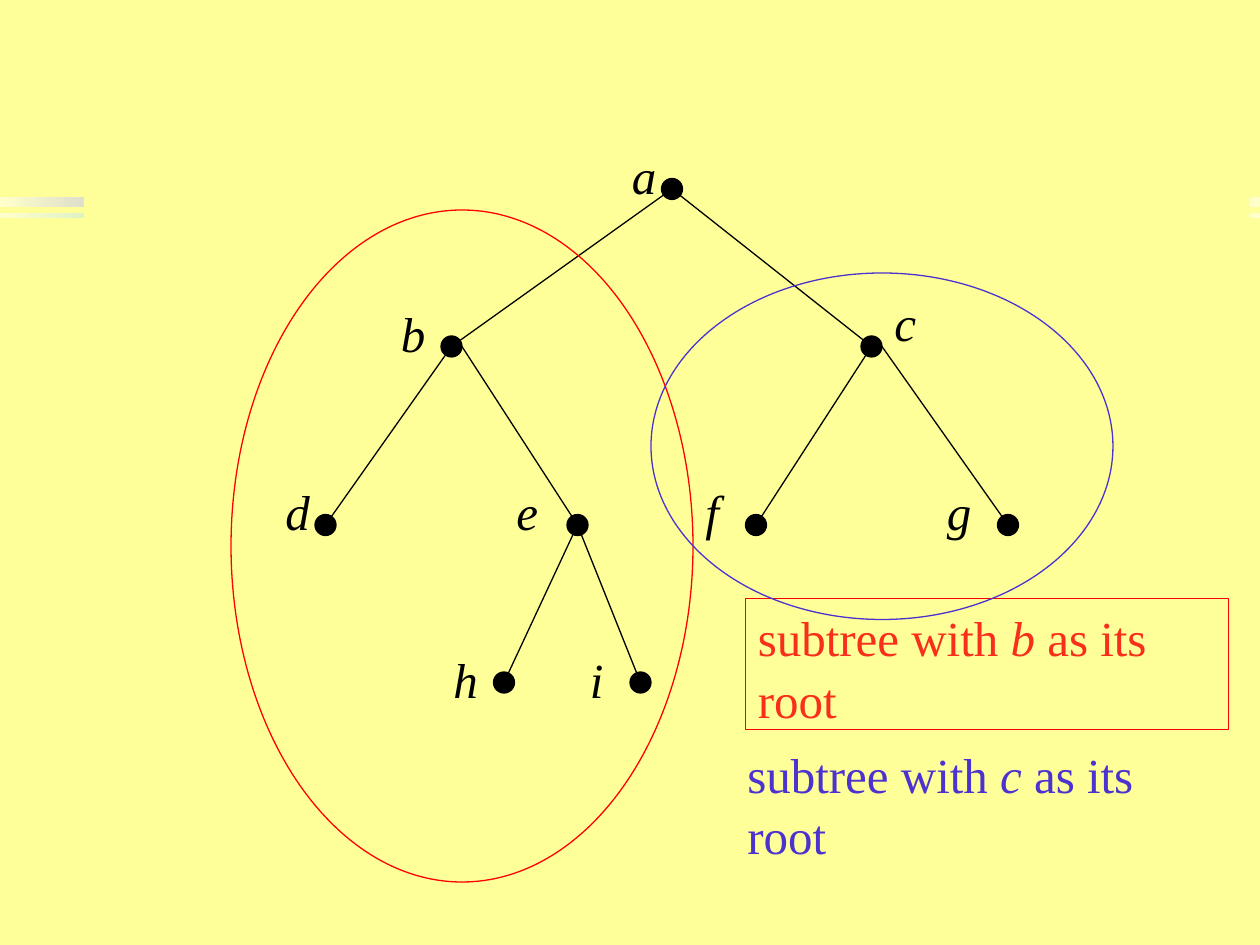
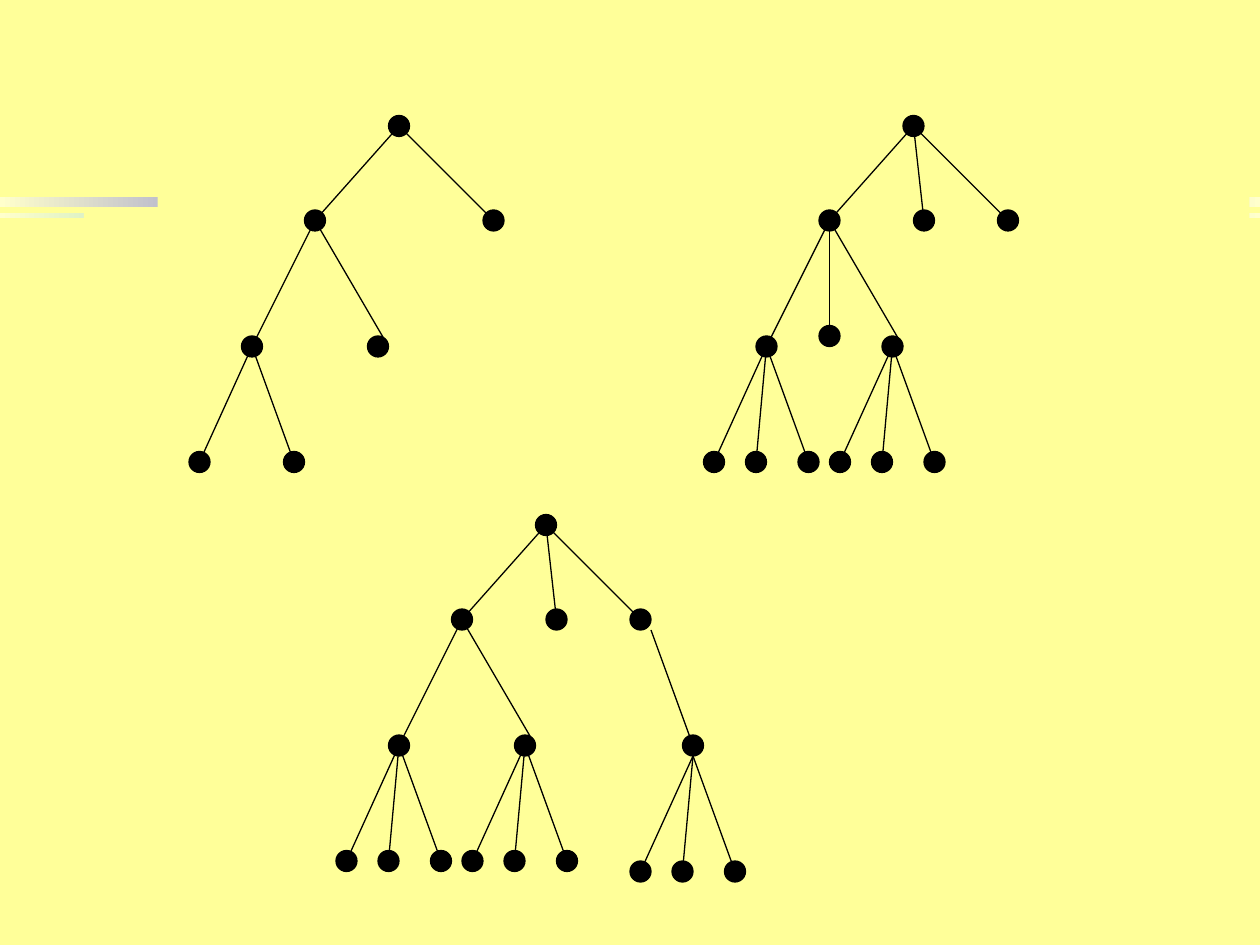
from copy import deepcopy

from pptx import Presentation
from pptx.dml.color import RGBColor
from pptx.enum.shapes import MSO_CONNECTOR as Connector, MSO_SHAPE as Shape
from pptx.enum.text import MSO_ANCHOR as Anchor, MSO_AUTO_SIZE as AutoSize, PP_ALIGN as Align
from pptx.oxml.ns import qn
from pptx.oxml.xmlchemy import OxmlElement
from pptx.util import Inches, Pt

COLORS = {
    "page": "FFFF99",
    "ink": "000000",
    "band_end": "FFFFCC",
    "band_blue": "0000CC",
    "band_teal": "009999",
    "outline_b": "FF0000",
    "text_b": "F82F1A",
    "subtree_c": "4C32CE",
}
FONT = "Times New Roman"
BLANK_LAYOUT = 6

NODES = {
    "a": (64, 18), "b": (43, 33), "c": (83, 33), "d": (31, 50), "e": (55, 50),
    "f": (72, 50), "g": (96, 50), "h": (48, 65), "i": (61, 65),
}
LABELS = {
    "a": (59, 13), "b": (37, 28), "c": (84, 27), "d": (26, 45), "e": (48, 45),
    "f": (66, 45), "g": (89, 45), "h": (42, 61), "i": (55, 61),
}
CHILDREN = {"a": "bc", "b": "de", "c": "fg", "e": "hi"}
SHIFTED_STARTS = {"e": (1, 0), "g": (1, 0)}
PAIR = (-5, 4)
TRIPLE = (-5, -1, 4)


def rgb(name):
    return RGBColor.from_string(COLORS[name])


def grid(*twelfths):
    return [Inches(n / 12) for n in twelfths]


def shift(point, offset):
    return point[0] + offset[0], point[1] + offset[1]


class Deck:
    def __init__(self):
        self.prs = Presentation()
        self.prs.slide_width, self.prs.slide_height = Inches(10), Inches(7.5)
        self.slide = None

    def new_slide(self, cover_height):
        self.slide = self.prs.slides.add_slide(self.prs.slide_layouts[BLANK_LAYOUT])
        background = self.slide.background.fill
        background.solid()
        background.fore_color.rgb = rgb("page")
        self.band(1.56, 0.08, "band_blue")
        self.band(1.69, 0.04, "band_teal")
        self.shape(Shape.RECTANGLE, grid(15, 3, 104, cover_height), fill="page")

    def shape(self, kind, place, fill=None, line=None):
        shape = self.slide.shapes.add_shape(kind, *place)
        shape.shadow.inherit = False
        if fill:
            shape.fill.solid()
            shape.fill.fore_color.rgb = rgb(fill)
        else:
            shape.fill.background()
        if line:
            shape.line.color.rgb = rgb(line)
            shape.line.width = Pt(0.75)
        else:
            shape.line.fill.background()
        return shape

    def band(self, top, height, middle):
        band = self.shape(Shape.RECTANGLE, [Inches(n) for n in (0, top, 10, height)])
        band.fill.gradient()
        band.fill.gradient_angle = 0
        stop_list = band._element.spPr.find(".//" + qn("a:gsLst"))
        stop_list.append(deepcopy(stop_list[0]))
        stops = zip(band.fill.gradient_stops, (0, 0.5, 1), ("band_end", middle, "band_end"))
        for stop, position, color in stops:
            stop.position = position
            stop.color.rgb = rgb(color)

    def add_text(self, text, place, color="ink", outline=None, size=28):
        if outline:
            box = self.shape(Shape.RECTANGLE, place, line=outline)
        else:
            box = self.slide.shapes.add_textbox(*place)
        frame = box.text_frame
        frame.word_wrap = True
        frame.auto_size = AutoSize.SHAPE_TO_FIT_TEXT
        frame.vertical_anchor = Anchor.TOP
        paragraph = frame.paragraphs[0]
        paragraph.alignment = Align.LEFT
        paragraph.line_spacing = 1.05
        for index, part in enumerate(text.split("|")):
            if part:
                run = paragraph.add_run()
                run.text = part
                run.font.name = FONT
                run.font.size = Pt(size)
                run.font.italic = index % 2 == 1
                run.font.color.rgb = rgb(color)

    def node(self, center):
        x, y = center
        self.shape(Shape.OVAL, grid(x - 1, y - 1, 2, 2), fill="ink", line="ink")

    def edge(self, start, end):
        edge = self.slide.shapes.add_connector(Connector.STRAIGHT, *grid(*start, *end))
        edge.line.color.rgb = rgb("ink")
        edge.line.width = Pt(0.75)
        edge._element.spPr.append(OxmlElement("a:effectLst"))

    def branch(self, parent, child, leave=(0, 0), reach=(0, 0)):
        self.edge(shift(parent, leave), shift(child, reach))
        self.node(child)

    def leaves(self, parent, columns, drop=11, leave=(0, 0)):
        for column in columns:
            self.branch(parent, shift(parent, (column, drop)), leave=leave)

    def tree_top(self, root, fan):
        left, right = shift(root, (-8, 9)), shift(root, (9, 9))
        outer, inner = shift(left, (-6, 12)), shift(left, (6, 12))
        self.node(root)
        self.branch(root, left)
        self.branch(root, right)
        self.branch(left, outer)
        self.branch(left, inner, reach=(1, 0))
        self.leaves(outer, fan)
        return left, inner, right

    def ternary_tree(self, root):
        left, inner, right = self.tree_top(root, TRIPLE)
        self.branch(root, shift(root, (1, 9)))
        self.leaves(inner, TRIPLE)
        return left, right


def subtree_slide(deck):
    deck.new_slide(cover_height=84)
    deck.node(NODES["a"])
    for parent, children in CHILDREN.items():
        for child in children:
            deck.branch(NODES[parent], NODES[child], leave=SHIFTED_STARTS.get(child, (0, 0)))
    for name, corner in LABELS.items():
        deck.add_text(f"|{name}|", grid(*corner, 5, 6.8))
    deck.shape(Shape.OVAL, grid(22, 20, 44, 64), line="outline_b")
    deck.add_text("subtree with |b| as its root", grid(71, 57, 46, 12.5),
                  color="text_b", outline="outline_b")
    deck.add_text("subtree with |c| as its root", grid(70, 70, 46, 12.5), color="subtree_c")
    deck.shape(Shape.OVAL, grid(62, 26, 44, 33), line="subtree_c")
    deck.shape(Shape.RECTANGLE, grid(8, 18, 9, 8), fill="page")


def tree_examples_slide(deck):
    deck.new_slide(cover_height=83)
    deck.tree_top((38, 12), PAIR)

    left, _ = deck.ternary_tree((87, 12))
    deck.branch(left, shift(left, (0, 11)), leave=(0, 1), reach=(0, 1))

    _, right = deck.ternary_tree((52, 50))
    only_child = shift(right, (5, 12))
    deck.branch(right, only_child, leave=(1, 1))
    deck.leaves(only_child, TRIPLE, drop=12, leave=(0, 1))

    deck.shape(Shape.RECTANGLE, grid(8, 20, 8, 4), fill="page")


def main():
    deck = Deck()
    subtree_slide(deck)
    tree_examples_slide(deck)
    deck.prs.save("out.pptx")


if __name__ == "__main__":
    main()
